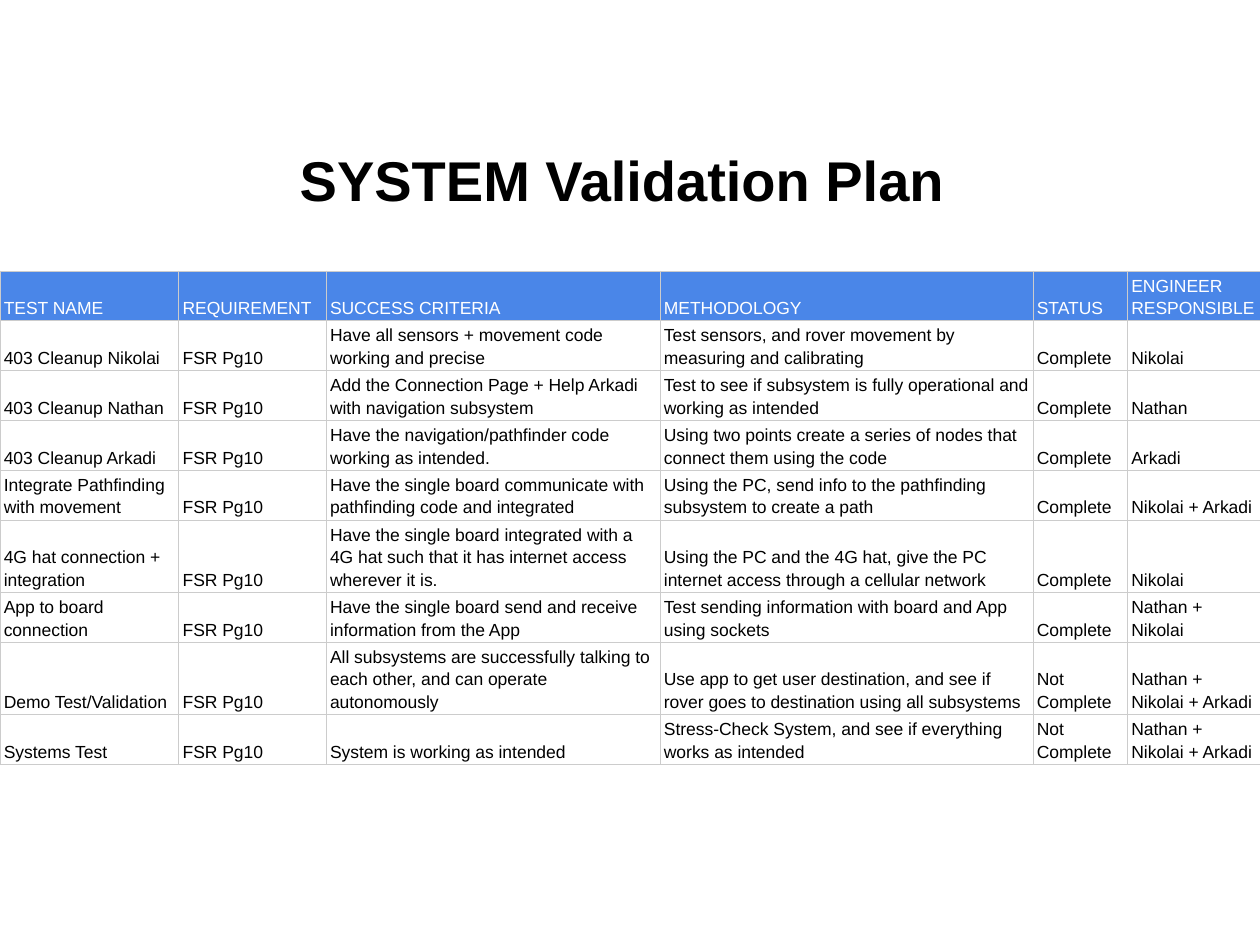
import pptx
import pptx.dml.color
import pptx.enum.text
import pptx.oxml
import pptx.oxml.ns
import pptx.util
from lxml import etree

SLIDE_WIDTH, SLIDE_HEIGHT = 10, 7.5
COLUMN_WIDTHS = [1.42, 1.17, 2.65, 2.96, 0.75, 1.05]
ROW_HEIGHT = 0.22
REQUIREMENT = "FSR Pg10"
HEADERS = ["TEST NAME", "REQUIREMENT", "SUCCESS CRITERIA", "METHODOLOGY",
           "STATUS", "ENGINEER RESPONSIBLE"]
TESTS = [
    ("403 Cleanup Nikolai",
     "Have all sensors + movement code working and precise",
     "Test sensors, and rover movement by measuring and calibrating",
     "Complete", "Nikolai"),
    ("403 Cleanup Nathan",
     "Add the Connection Page + Help Arkadi with navigation subsystem",
     "Test to see if subsystem is fully operational and working as intended",
     "Complete", "Nathan"),
    ("403 Cleanup Arkadi",
     "Have the navigation/pathfinder code working as intended.",
     "Using two points create a series of nodes that connect them using the code",
     "Complete", "Arkadi"),
    ("Integrate Pathfinding with movement",
     "Have the single board communicate with pathfinding code and integrated",
     "Using the PC, send info to the pathfinding subsystem to create a path",
     "Complete", "Nikolai + Arkadi"),
    ("4G hat connection + integration",
     "Have the single board integrated with a 4G hat such that it has internet access wherever it is.",
     "Using the PC and the 4G hat, give the PC internet access through a cellular network",
     "Complete", "Nikolai"),
    ("App to board connection",
     "Have the single board send and receive information from the App",
     "Test sending information with board and App using sockets",
     "Complete", "Nathan + Nikolai"),
    ("Demo Test/Validation",
     "All subsystems are successfully talking to each other, and can operate autonomously",
     "Use app to get user destination, and see if rover goes to destination using all subsystems",
     "Not Complete", "Nathan + Nikolai + Arkadi"),
    ("Systems Test",
     "System is working as intended",
     "Stress-Check System, and see if everything works as intended",
     "Not Complete", "Nathan + Nikolai + Arkadi"),
]


def color(hex_value):
    return pptx.dml.color.RGBColor.from_string(hex_value)


def inches(*lengths):
    return [pptx.util.Inches(length) for length in lengths]


def format_runs(paragraph, size, hex_value, bold=False):
    for run in paragraph.runs:
        run.font.name = "Arial"
        run.font.size = pptx.util.Pt(size)
        run.font.bold = bold
        run.font.color.rgb = color(hex_value)


def add_title(slide, text):
    box = inches(0.05 * SLIDE_WIDTH, 0.13 * SLIDE_HEIGHT,
                 0.9 * SLIDE_WIDTH, 0.12 * SLIDE_HEIGHT)
    text_frame = slide.shapes.add_textbox(*box).text_frame
    text_frame.word_wrap = True
    text_frame.vertical_anchor = pptx.enum.text.MSO_ANCHOR.MIDDLE
    text_frame.text = text
    paragraph = text_frame.paragraphs[0]
    paragraph.alignment = pptx.enum.text.PP_ALIGN.CENTER
    format_runs(paragraph, 32, "000000", bold=True)


def set_borders(cell, hex_value, width):
    properties = cell._tc.get_or_add_tcPr()
    qualified = pptx.oxml.ns.qn
    for position, side in enumerate(("a:lnL", "a:lnR", "a:lnT", "a:lnB")):
        line = etree.Element(qualified(side), w=str(pptx.util.Pt(width)))
        fill = etree.SubElement(line, qualified("a:solidFill"))
        etree.SubElement(fill, qualified("a:srgbClr"), val=hex_value)
        properties.insert(position, line)


def fill_cell(cell, text, fill, text_color):
    cell.margin_left, cell.margin_right = inches(0.03, 0.03)
    cell.margin_top, cell.margin_bottom = inches(0.02, 0.02)
    cell.vertical_anchor = pptx.enum.text.MSO_ANCHOR.BOTTOM
    cell.fill.solid()
    cell.fill.fore_color.rgb = color(fill)
    set_borders(cell, "CCCCCC", 0.5)
    cell.text_frame.text = text
    paragraph = cell.text_frame.paragraphs[0]
    paragraph.line_spacing = pptx.util.Pt(12.8)
    format_runs(paragraph, 10, text_color)


def add_plan_table(slide, top):
    rows = [HEADERS] + [(name, REQUIREMENT, *rest) for name, *rest in TESTS]
    box = inches(0, top, SLIDE_WIDTH, ROW_HEIGHT * len(rows))
    table = slide.shapes.add_table(len(rows), len(HEADERS), *box).table
    for column, width in zip(table.columns, COLUMN_WIDTHS):
        column.width = pptx.util.Inches(width)
    for row_index, row in enumerate(rows):
        table.rows[row_index].height = pptx.util.Inches(ROW_HEIGHT)
        fill, text_color = ("FFFFFF", "000000") if row_index else ("4A86E8", "FFFFFF")
        for column_index, text in enumerate(row):
            fill_cell(table.cell(row_index, column_index), text, fill, text_color)


def main():
    presentation = pptx.Presentation()
    presentation.slide_width, presentation.slide_height = inches(SLIDE_WIDTH, SLIDE_HEIGHT)
    slide = presentation.slides.add_slide(presentation.slide_layouts[6])
    add_title(slide, "SYSTEM Validation Plan ")
    add_plan_table(slide, 2.15)
    presentation.save("out.pptx")


if __name__ == "__main__":
    main()
